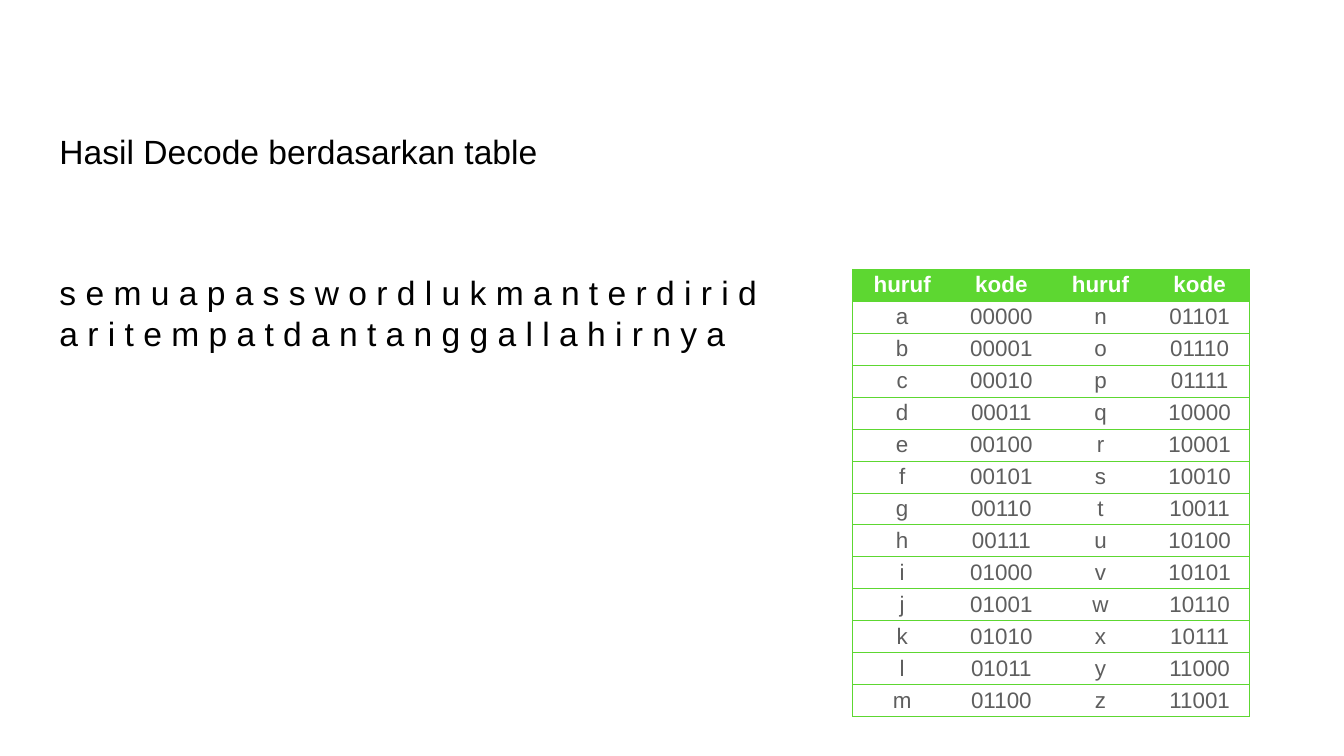
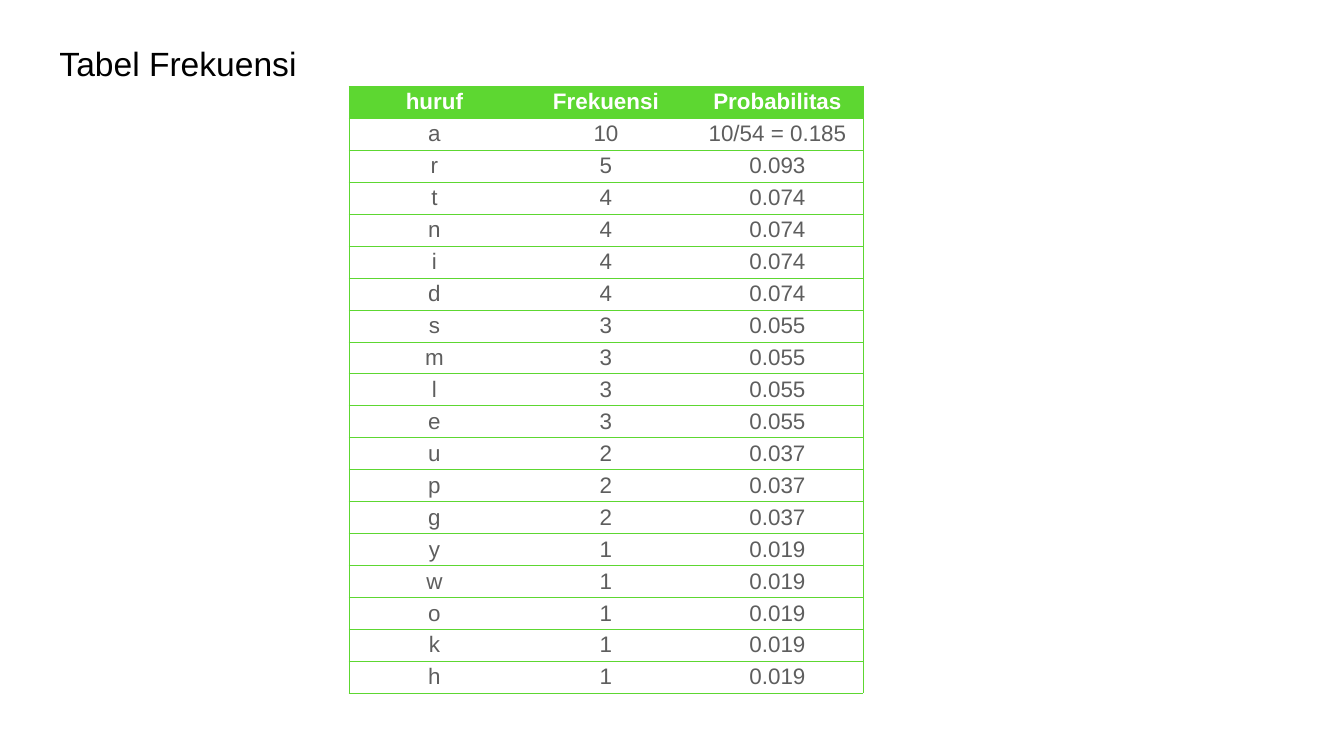
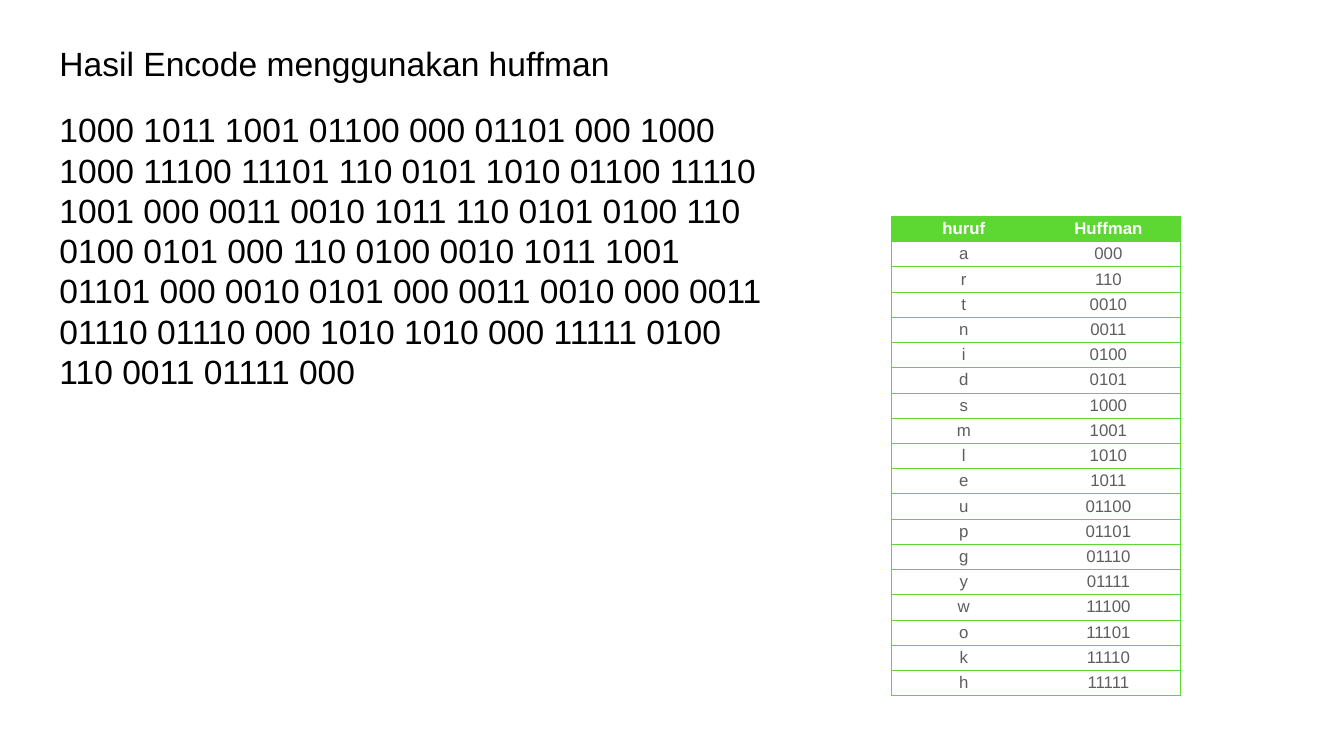
from lxml import etree
from pptx import Presentation
from pptx import util as u
from pptx.dml.color import RGBColor
from pptx.enum import text
from pptx.oxml.ns import qn

GREEN = RGBColor(0x5D, 0xD7, 0x31)
GREY = RGBColor(0x5E, 0x5E, 0x5E)
WHITE = RGBColor(0xFF, 0xFF, 0xFF)
BLACK = RGBColor(0, 0, 0)
FONT = "Arial"
TEXT_LEFT, TITLE_WIDTH, TITLE_HEIGHT, BODY_WIDTH = 1.12, 22.85, 0.92, 14.22

MESSAGE = "semuapasswordlukmanterdiridaritempatdantanggallahirnya"
PROBABILITIES = {10: "10/54 = 0.185", 5: "0.093", 4: "0.074",
                 3: "0.055", 2: "0.037", 1: "0.019"}
HUFFMAN = {
    "a": "000", "r": "110", "t": "0010", "n": "0011", "i": "0100", "d": "0101",
    "s": "1000", "m": "1001", "l": "1010", "e": "1011", "u": "01100",
    "p": "01101", "g": "01110", "y": "01111", "w": "11100", "o": "11101",
    "k": "11110", "h": "11111",
}


def set_font(font, size, color, bold=False):
    """Apply the deck's typeface with a size, colour and weight."""
    font.name, font.size, font.bold = FONT, u.Pt(size), bold
    font.color.rgb = color


def fill_placeholder(holder, words, box):
    """Place a title or body placeholder and write its single paragraph."""
    holder.left, holder.top, holder.width, holder.height = map(u.Inches, box)
    frame = holder.text_frame
    frame.text = words
    frame.word_wrap = True
    frame.auto_size = text.MSO_AUTO_SIZE.SHAPE_TO_FIT_TEXT
    frame.vertical_anchor = text.MSO_ANCHOR.MIDDLE
    frame.margin_left = frame.margin_right = u.Inches(0.06)
    frame.margin_top = frame.margin_bottom = u.Inches(0.06)
    para = frame.paragraphs[0]
    para.alignment = text.PP_ALIGN.LEFT
    para.space_before = u.Pt(0)
    set_font(para.font, 48, BLACK)
    properties = para._p.get_or_add_pPr()
    properties.set("marL", "0")
    properties.set("indent", "0")
    etree.SubElement(properties, qn("a:buNone"))


def add_borders(cell, sides):
    """Draw thin green lines on the given sides of a cell and none elsewhere."""
    properties = cell._tc.get_or_add_tcPr()
    for side in "LRTB":
        line = etree.SubElement(properties, qn(f"a:ln{side}"), w=str(u.Pt(0.75)))
        if side in sides:
            paint = etree.SubElement(line, qn("a:solidFill"))
            etree.SubElement(paint, qn("a:srgbClr"), val=str(GREEN))
        else:
            etree.SubElement(line, qn("a:noFill"))


def add_letter_table(page, header, records, box, size):
    """Add a centred table with a green header and ruled rows in the box."""
    rows = [header, *records]
    left, top, width, height = map(u.Inches, box)
    table = page.shapes.add_table(len(rows), len(header), left, top, width, height).table
    table.horz_banding = False
    last = len(header) - 1
    for row_index, values in enumerate(rows):
        is_header = row_index == 0
        for column, value in enumerate(values):
            cell = table.cell(row_index, column)
            add_borders(cell, "TB" + "L" * (column == 0) + "R" * (column == last))
            if is_header:
                cell.fill.solid()
                cell.fill.fore_color.rgb = GREEN
            else:
                cell.fill.background()
            cell.margin_top = cell.margin_bottom = u.Inches(0.05)
            cell.vertical_anchor = text.MSO_ANCHOR.MIDDLE
            cell.text = value
            para = cell.text_frame.paragraphs[0]
            para.alignment = text.PP_ALIGN.CENTER
            set_font(para.font, size, WHITE if is_header else GREY, is_header)


def add_page(deck, title, title_top, body=None, body_top=0, body_height=0):
    """Add a slide with a title and, when given, a body text on the left."""
    page = deck.slides.add_slide(deck.slide_layouts[1 if body else 5])
    fill_placeholder(page.shapes.title, title,
                     (TEXT_LEFT, title_top, TITLE_WIDTH, TITLE_HEIGHT))
    if body:
        fill_placeholder(page.placeholders[1], body,
                         (TEXT_LEFT, body_top, BODY_WIDTH, body_height))
    return page


def add_decode_page(deck):
    """Add the decoded message beside the five-bit code table."""
    page = add_page(deck, "Hasil Decode berdasarkan table", 2.53,
                    " ".join(MESSAGE), 5.34, 1.73)
    codes = [(chr(ord("a") + index), f"{index:05b}") for index in range(26)]
    records = [first + second for first, second in zip(codes[:13], codes[13:])]
    add_letter_table(page, ("huruf", "kode") * 2, records, (16.92, 5.34, 7.87, 8.87), 32)


def add_frequency_page(deck):
    """Add the table of letter counts and probabilities."""
    page = add_page(deck, "Tabel Frekuensi", 0.8)
    counts = {letter: MESSAGE.count(letter) for letter in HUFFMAN}
    records = [(letter, str(count), PROBABILITIES[count])
               for letter, count in counts.items()]
    add_letter_table(page, ("huruf", "Frekuensi", "Probabilitas"), records,
                     (6.92, 1.71, 10.21, 12.03), 32)


def add_encode_page(deck):
    """Add the Huffman-encoded message beside its code table."""
    page = add_page(deck, "Hasil Encode menggunakan huffman", 0.8,
                    " ".join(HUFFMAN[letter] for letter in MESSAGE), 2.08, 5.77)
    add_letter_table(page, ("huruf", "Huffman"), HUFFMAN.items(),
                     (17.69, 4.29, 5.74, 9.5), 24)


def main():
    """Build and save the deck."""
    deck = Presentation()
    deck.slide_width, deck.slide_height = u.Inches(26.67), u.Inches(15)
    add_decode_page(deck)
    add_frequency_page(deck)
    add_encode_page(deck)
    deck.save("out.pptx")


main()
